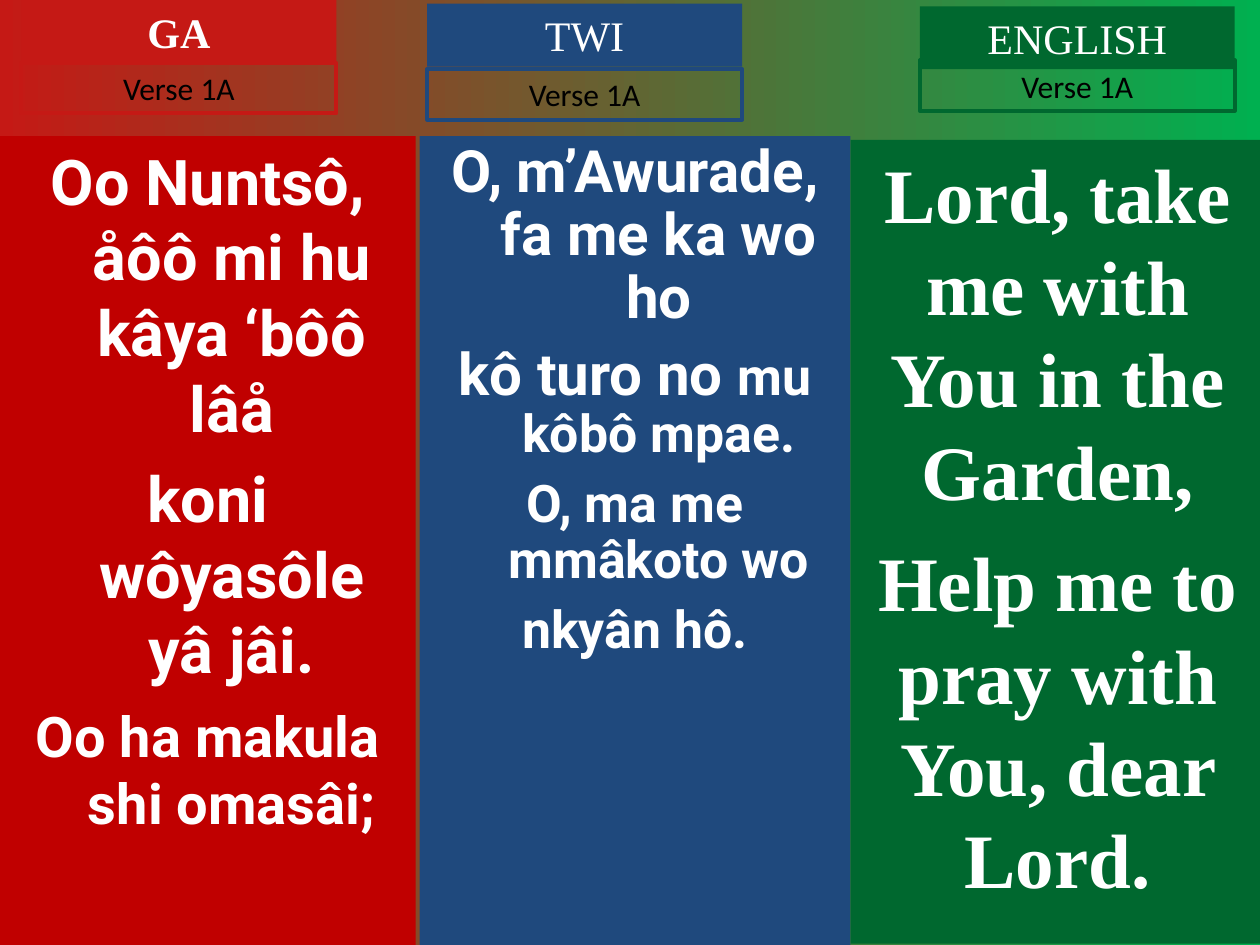
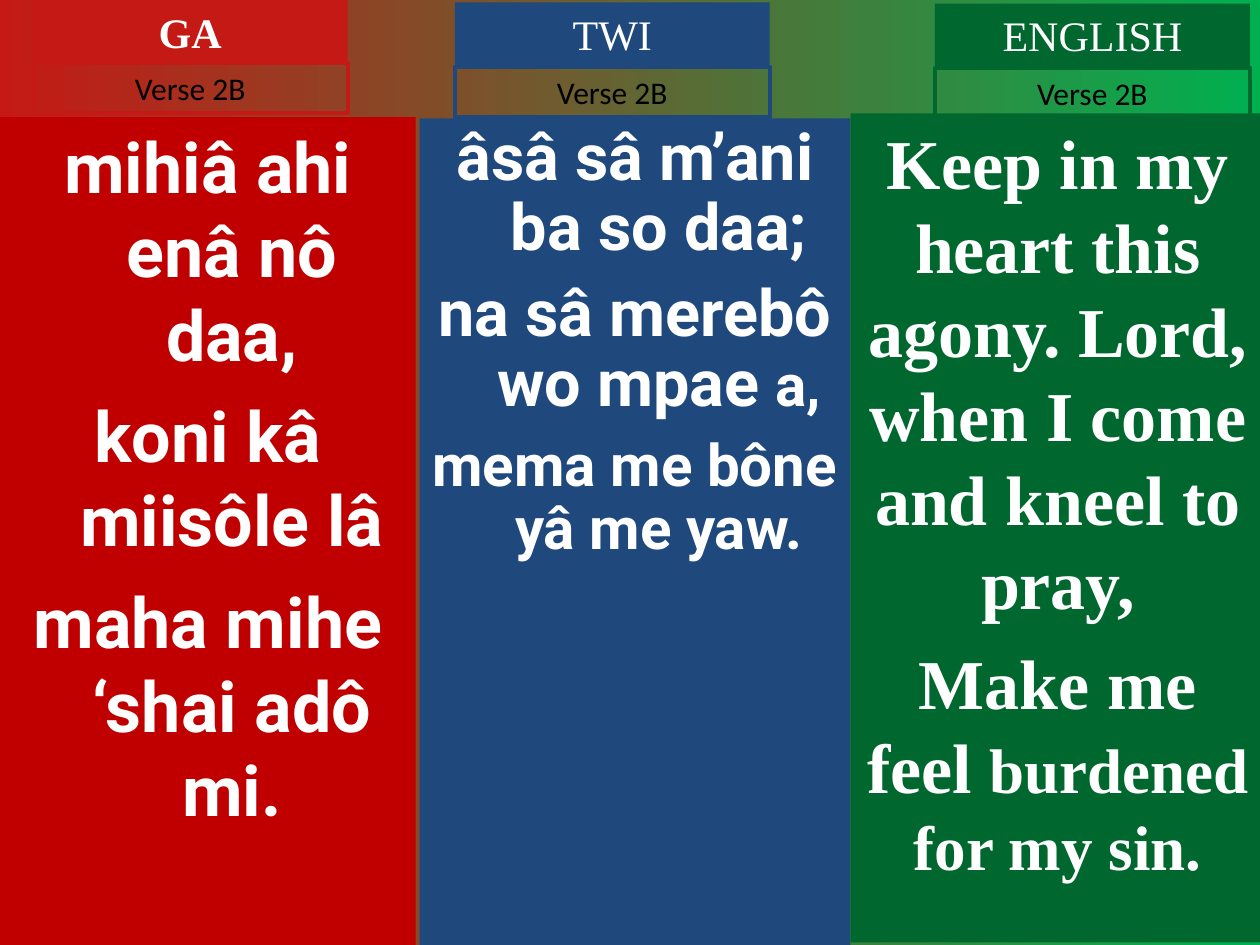
from dataclasses import dataclass
from pptx import Presentation
from pptx.dml.color import RGBColor
from pptx.enum.shapes import MSO_SHAPE
from pptx.enum.text import MSO_ANCHOR, MSO_AUTO_SIZE, PP_ALIGN
from pptx.util import Inches, Pt


@dataclass(frozen=True)
class Theme:
    ga_label: str = "C51915"
    ga_panel: str = "C00000"
    twi: str = "1F497D"
    english: str = "00682F"
    sky_end: str = "00B050"
    white: str = "FFFFFF"
    black: str = "000000"
    lyric_font: str = "Roboto"
    serif_font: str = "Times New Roman"
    verse_font: str = "Calibri"
    language_size: float = 24
    verse_size: float = 18
    border: float = 2.25
    hang: float = 0.38


@dataclass(frozen=True)
class Language:
    name: str
    panel_left: float
    panel_width: float
    label_color: str
    panel_color: str
    font: str
    label_bold: bool = False
    hang: float = 0
    line_spacing: float = None


@dataclass(frozen=True)
class Part:
    panel_top: float
    panel_height: float
    label_left: float
    label_top: float
    verse_top: float
    space: float
    lyrics: list


THEME = Theme()
LABEL_WIDTH, LABEL_HEIGHT, VERSE_HEIGHT = 2.5, 0.5, 0.4

LANGUAGES = [
    Language("GA", 0, 3.3, THEME.ga_label, THEME.ga_panel, THEME.lyric_font,
             label_bold=True, hang=THEME.hang),
    Language("TWI", 3.33, 3.42, THEME.twi, THEME.twi, THEME.lyric_font,
             hang=THEME.hang, line_spacing=0.9),
    Language("ENGLISH", 6.75, 3.29, THEME.english, THEME.english, THEME.serif_font),
]

VERSES = {
    "Verse 1A": [
        Part(1.08, 6.42, 0.17, 0, 0.5, 8.5, [
            [("Oo Nuntsô, åôô mi hu kâya ‘bôô lâå", 36)],
            [("koni wôyasôle yâ jâi.", 36)],
            [("Oo ha makula shi omasâi;", 32)],
        ]),
        Part(1.08, 6.42, 3.39, 0.03, 0.55, 8, [
            [("O, m’Awurade, fa me ka wo ho", 33.3)],
            [("kô turo no ", 33.3), ("mu kôbô mpae.", 29.6)],
            [("O, ma me mmâkoto wo", 29.6)],
            [("nkyân hô.", 29.6)],
        ]),
        Part(1.11, 6.38, 7.3, 0.05, 0.48, 11, [
            [("Lord, take me with You in the Garden,", 44)],
            [("Help me to pray with You, dear Lord.", 44)],
        ]),
    ],
    "Verse 2B": [
        Part(0.93, 6.57, 0.26, 0, 0.5, 10, [
            [("mihiâ ahi enâ nô daa,", 40)],
            [("koni kâ miisôle lâ", 40)],
            [("maha mihe ‘shai adô mi.", 40)],
        ]),
        Part(0.94, 6.56, 3.61, 0.02, 0.53, 9, [
            [("âsâ sâ m’ani ba so daa;", 37)],
            [("na sâ merebô wo mpae ", 37), ("a,", 33.3)],
            [("mema me bône yâ me yaw.", 33.3)],
        ]),
        Part(0.9, 6.58, 7.42, 0.03, 0.54, 9, [
            [("Keep in my heart this agony. Lord, when I come and kneel to pray,", 40)],
            [("Make me feel ", 40), ("burdened for my sin.", 36)],
        ]),
    ],
}


def add_box(slide, left, top, width, height, fill=None, line=None):
    box = slide.shapes.add_shape(
        MSO_SHAPE.RECTANGLE, Inches(left), Inches(top), Inches(width), Inches(height))
    box.shadow.inherit = False
    if fill:
        box.fill.solid()
        box.fill.fore_color.rgb = RGBColor.from_string(fill)
    else:
        box.fill.background()
    if line:
        box.line.color.rgb = RGBColor.from_string(line)
        box.line.width = Pt(THEME.border)
    else:
        box.line.fill.background()
    return box


def write_text(box, paragraphs, *, font, color, bold=False, space=0, hang=0,
               line_spacing=None, grow=False):
    frame = box.text_frame
    frame.word_wrap = True
    frame.vertical_anchor = MSO_ANCHOR.TOP
    frame.auto_size = MSO_AUTO_SIZE.SHAPE_TO_FIT_TEXT if grow else MSO_AUTO_SIZE.NONE
    for index, pieces in enumerate(paragraphs):
        paragraph = frame.add_paragraph() if index else frame.paragraphs[0]
        paragraph.alignment = PP_ALIGN.CENTER
        paragraph.space_before = Pt(space if index else 0)
        if line_spacing:
            paragraph.line_spacing = line_spacing
        if hang:
            properties = paragraph._p.get_or_add_pPr()
            properties.set("marL", str(Inches(hang)))
            properties.set("indent", str(-Inches(hang)))
        for text, size in pieces:
            run = paragraph.add_run()
            run.text = text
            run.font.name = font
            run.font.size = Pt(size)
            run.font.bold = bold
            run.font.color.rgb = RGBColor.from_string(color)


def add_background(slide):
    fill = slide.background.fill
    fill.gradient()
    fill.gradient_angle = 0
    for stop, position, color in zip(
            fill.gradient_stops, (0, 1), (THEME.ga_label, THEME.sky_end)):
        stop.position = position
        stop.color.rgb = RGBColor.from_string(color)


def add_panel(slide, language, part):
    panel = add_box(slide, language.panel_left, part.panel_top, language.panel_width,
                    part.panel_height, fill=language.panel_color)
    write_text(panel, part.lyrics, font=language.font, color=THEME.white, bold=True,
               space=part.space, hang=language.hang, line_spacing=language.line_spacing)


def add_labels(slide, language, part, verse):
    heading = add_box(slide, part.label_left, part.label_top, LABEL_WIDTH, LABEL_HEIGHT,
                      fill=language.label_color)
    write_text(heading, [[(language.name, THEME.language_size)]], font=THEME.serif_font,
               color=THEME.white, bold=language.label_bold, grow=True)
    verse_tag = add_box(slide, part.label_left, part.verse_top, LABEL_WIDTH, VERSE_HEIGHT,
                        line=language.label_color)
    write_text(verse_tag, [[(verse, THEME.verse_size)]], font=THEME.verse_font,
               color=THEME.black, grow=True)


def add_verse_slide(deck, verse, parts):
    slide = deck.slides.add_slide(deck.slide_layouts[6])
    add_background(slide)
    for language, part in zip(LANGUAGES, parts):
        add_panel(slide, language, part)
        add_labels(slide, language, part, verse)


def main():
    deck = Presentation()
    deck.slide_width, deck.slide_height = Inches(10), Inches(7.5)
    for verse, parts in VERSES.items():
        add_verse_slide(deck, verse, parts)
    deck.save("out.pptx")


if __name__ == "__main__":
    main()
